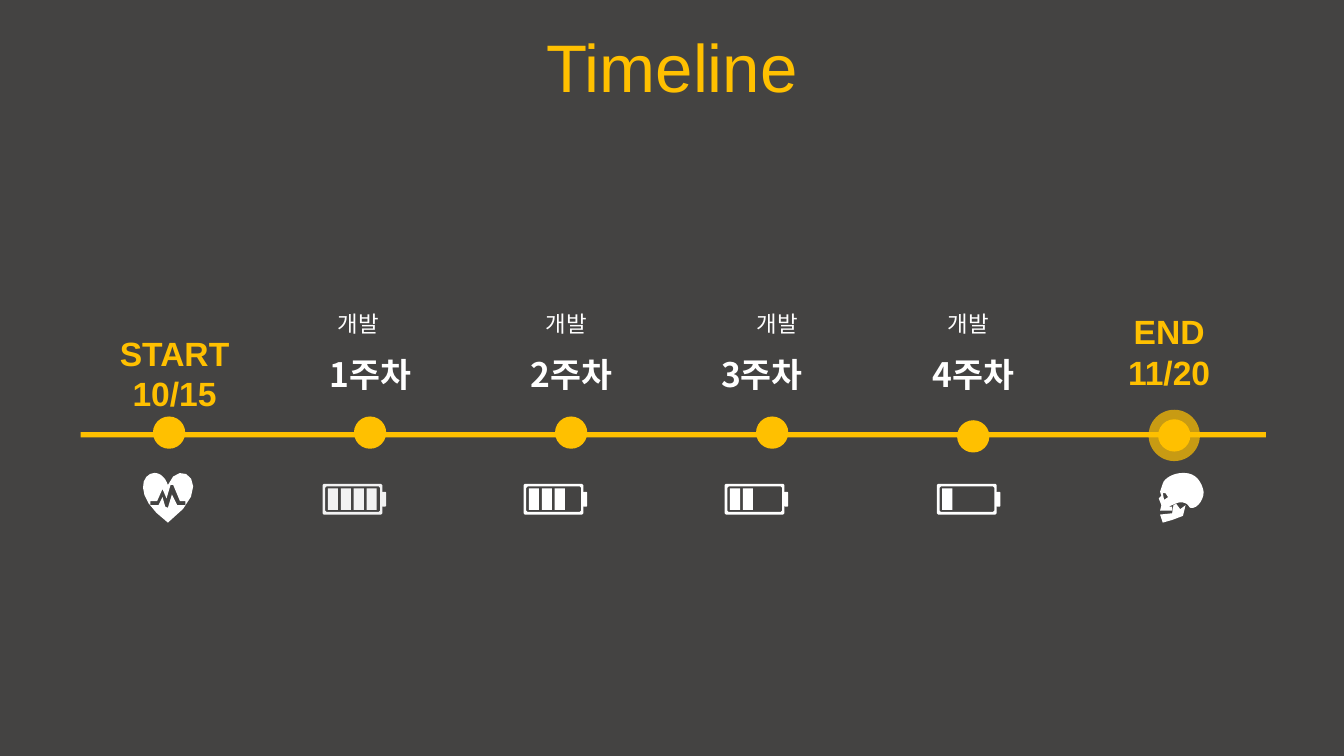
from lxml.etree import SubElement
from pptx import Presentation
from pptx.dml.color import RGBColor
from pptx.enum.shapes import MSO_SHAPE
from pptx.enum.text import MSO_ANCHOR, MSO_AUTO_SIZE, PP_ALIGN
from pptx.oxml.ns import qn
from pptx.util import Pt

COLORS = {"background": "444342", "accent": "FFC000", "white": "FFFFFF", "pale": "F2F2F2"}
LATIN, KOREAN = "Arial", "Noto Sans CJK KR"
FIRST_X, STEP, AXIS_Y, DOT = 90.6, 107.7, 231.8, 17.3
ICON_UNIT = 0.72
NOTE_SHIFTS = [-6.4, -2.5, 2.8, -2.6]
LABEL_SHIFTS = [0, 0, -5.5, 0]
BATTERY_SHIFTS = [0, 0, 0, 6]
DOT_DROPS = [0, 0, 0, 2]

HEART = [
    [(9, 0), (13, 0, 17, 3, 19, 9), (27, -13, 57, 9, 19, 37), (-8, 17, 0, 0, 9, 0)],
    [(6, 21), (11, 21), (15, 12), (18, 19), (21, 9), (23, 9), (28, 21), (32, 21),
     (32, 24), (26, 24), (22, 16), (19, 26), (17, 25), (15, 18), (12, 24), (6, 24)],
]
SKULL = [
    [(18, 0), (24, 0, 30, 2, 33, 12), (35, 18, 29, 27, 24, 26), (22, 26, 23, 23, 18, 22),
     (14, 21, 9, 25, 7, 25), (10, 25), (10, 28), (1, 28), (2, 24), (0, 19), (2, 17),
     (1, 14), (3, 8), (4, 4, 11, 0, 18, 0)],
    [(5, 15), (3, 15), (4, 20), (7, 18)],
    [(13, 23), (16, 27), (20, 24), (18, 32), (10, 35), (3, 37), (1, 31), (10, 30), (11, 24)],
]


def rgb(name):
    """Return the palette colour of the given name."""
    return RGBColor.from_string(COLORS[name])


def paint(shape, color):
    """Give a shape a flat fill without line or shadow."""
    shape.shadow.inherit = False
    shape.fill.solid()
    shape.fill.fore_color.rgb = rgb(color)
    shape.line.fill.background()


def write(frame, lines, size, font, color, bold=False):
    """Write centred lines, one paragraph each."""
    for index, line in enumerate(lines):
        paragraph = frame.add_paragraph() if index else frame.paragraphs[0]
        paragraph.alignment = PP_ALIGN.CENTER
        run = paragraph.add_run()
        run.text = line
        run.font.size, run.font.bold, run.font.name = Pt(size), bold, font
        run.font.color.rgb = rgb(color)
        SubElement(run.font._element, qn("a:ea"), typeface=font)


def add_label(slide, box, lines, size, font, color, bold=False, anchor=MSO_ANCHOR.MIDDLE):
    """Add a wrapping text box that grows with its text."""
    frame = slide.shapes.add_textbox(*map(Pt, box)).text_frame
    frame.word_wrap = True
    frame.auto_size = MSO_AUTO_SIZE.SHAPE_TO_FIT_TEXT
    frame.vertical_anchor = anchor
    write(frame, lines, size, font, color, bold)


def add_dot(slide, x, y, diameter=DOT):
    """Add an accent circle centred on a point."""
    box = (x - diameter / 2, y - diameter / 2, diameter, diameter)
    dot = slide.shapes.add_shape(MSO_SHAPE.OVAL, *map(Pt, box))
    paint(dot, "accent")
    return dot


def flatten(contour, steps=8):
    """Turn a contour of lines and cubic curves into points."""
    points = [contour[0]]
    for segment in contour[1:]:
        if len(segment) == 2:
            points.append(segment)
            continue
        knots = [points[-1], segment[:2], segment[2:4], segment[4:]]
        for step in range(1, steps + 1):
            t = step / steps
            weights = [(1 - t) ** 3, 3 * t * (1 - t) ** 2, 3 * t * t * (1 - t), t ** 3]
            points.append(tuple(sum(weight * knot[axis] for weight, knot in zip(weights, knots))
                                for axis in range(2)))
    return points


def add_icon(slide, left, top, contours, color):
    """Draw contours as one outline with holes."""
    builder = None
    for contour in contours:
        points = [(Pt(left + x * ICON_UNIT), Pt(top + y * ICON_UNIT)) for x, y in flatten(contour)]
        if builder is None:
            builder = slide.shapes.build_freeform(*points[0])
        else:
            builder.move_to(*points[0])
        builder.add_line_segments(points[1:], close=True)
    paint(builder.convert_to_shape(), color)


def block(left, top, right, bottom, cut=0):
    """Return the contour of a rectangle with cut corners."""
    return [(left + cut, top), (right - cut, top), (right, top + cut), (right, bottom - cut),
            (right - cut, bottom), (left + cut, bottom), (left, bottom - cut), (left, top + cut)]


def battery(bars):
    """Return the contours of a battery with the given number of bars."""
    cells = [block(4 + 9.6 * i, 3.5, 11.5 + 9.6 * i, 19.5) for i in range(bars)]
    return [block(0, 0, 44.5, 23, 1), block(2, 2, 42.8, 21, 1),
            block(44.5, 6, 47.3, 17, 0.5), *cells]


def add_title(slide, box):
    """Place and format the slide title."""
    title = slide.shapes.title
    title.left, title.top, title.width, title.height = map(Pt, box)
    title.text_frame.auto_size = MSO_AUTO_SIZE.NONE
    title.text_frame.vertical_anchor = MSO_ANCHOR.MIDDLE
    write(title.text_frame, ["Timeline"], 36, LATIN, "accent")


def add_axis(slide, box):
    """Draw the bar that carries the milestones."""
    paint(slide.shapes.add_shape(MSO_SHAPE.RECTANGLE, *map(Pt, box)), "accent")


def add_endpoint(slide, box, lines, icon, icon_left):
    """Add the label and icon of the first or last milestone."""
    add_label(slide, box, lines, 18, LATIN, "accent", True)
    add_icon(slide, icon_left, 253.4, icon, "white")


def add_week(slide, index):
    """Add one weekly milestone at its place on the axis."""
    x = FIRST_X + STEP * (index + 1)
    add_dot(slide, x, AXIS_Y + DOT_DROPS[index])
    add_label(slide, (x + NOTE_SHIFTS[index] - 68, 162.8, 136, 21.6), ["개발"],
              12, KOREAN, "white", anchor=MSO_ANCHOR.TOP)
    add_label(slide, (x + LABEL_SHIFTS[index] - 48.2, 185.8, 96.4, 28.8), [f"{index + 1}주차"],
              18, KOREAN, "white", True)
    add_icon(slide, x + BATTERY_SHIFTS[index] - 25.5, 259.2, battery(4 - index),
             "white" if index else "pale")


def add_final_dot(slide, x, y):
    """Add the last dot with its translucent halo."""
    halo = add_dot(slide, x, y, 27.5)
    color = halo.fill._xPr.find(qn("a:solidFill"))[0]
    SubElement(color, qn("a:alpha"), val="71000")
    add_dot(slide, x, y)


def main():
    """Build and save the timeline slide."""
    presentation = Presentation()
    presentation.slide_width, presentation.slide_height = Pt(720), Pt(405)
    slide = presentation.slides.add_slide(presentation.slide_layouts[5])
    slide.background.fill.solid()
    slide.background.fill.fore_color.rgb = rgb("background")
    add_title(slide, (0, 12.2, 720, 45.4))
    add_axis(slide, (43.2, 231.5, 635, 2.9))
    add_dot(slide, FIRST_X, AXIS_Y)
    add_endpoint(slide, (48.2, 174.2, 90.7, 51.1), ["START", "10/15"], HEART, 76.3)
    for index in range(4):
        add_week(slide, index)
    add_final_dot(slide, FIRST_X + STEP * 5, 233.3)
    add_endpoint(slide, (581, 162.7, 90.7, 51.1), ["END", "11/20"], SKULL, 620.8)
    presentation.save("out.pptx")


if __name__ == "__main__":
    main()
